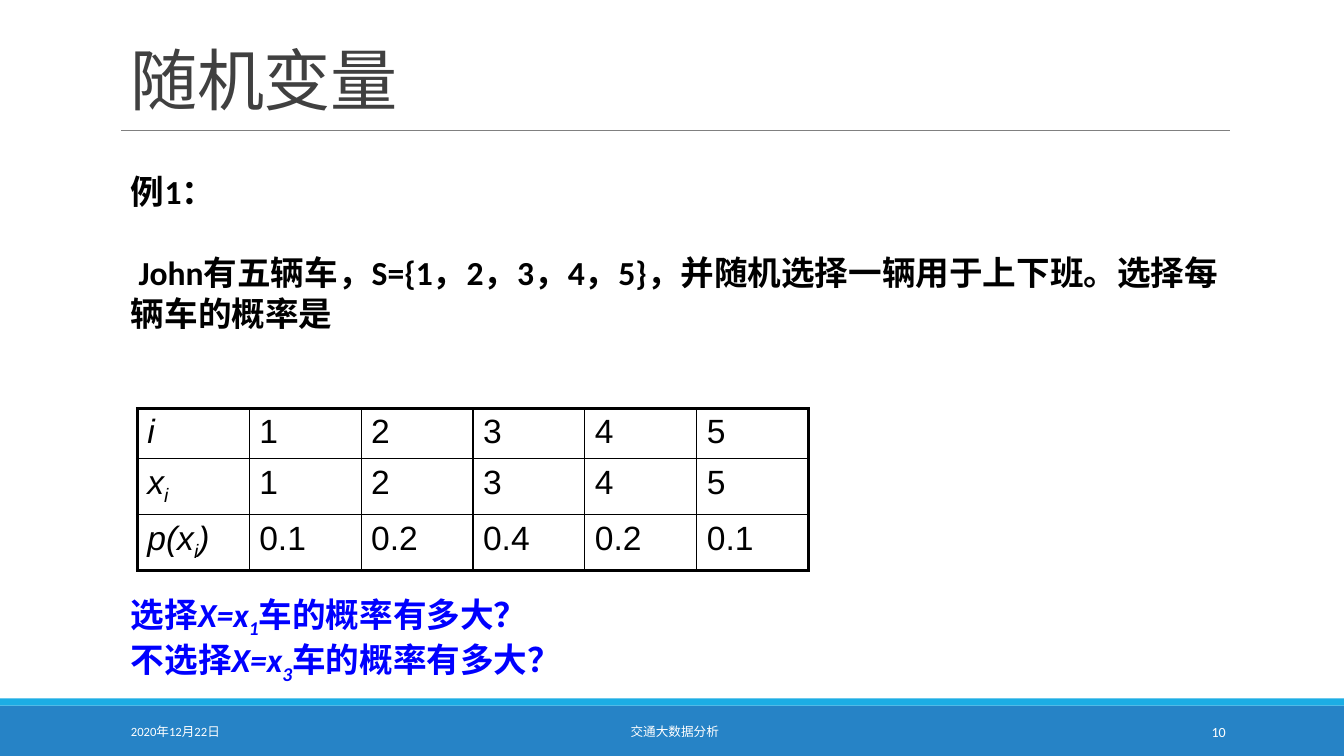
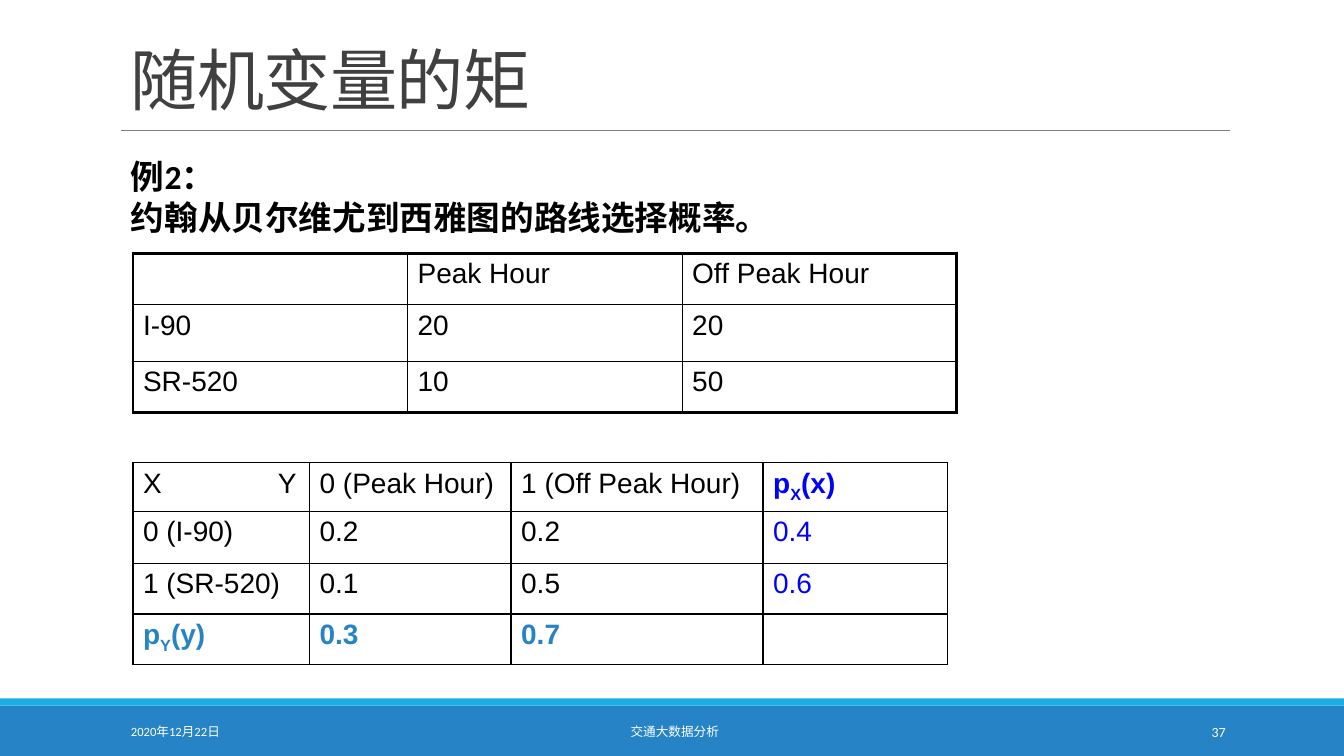
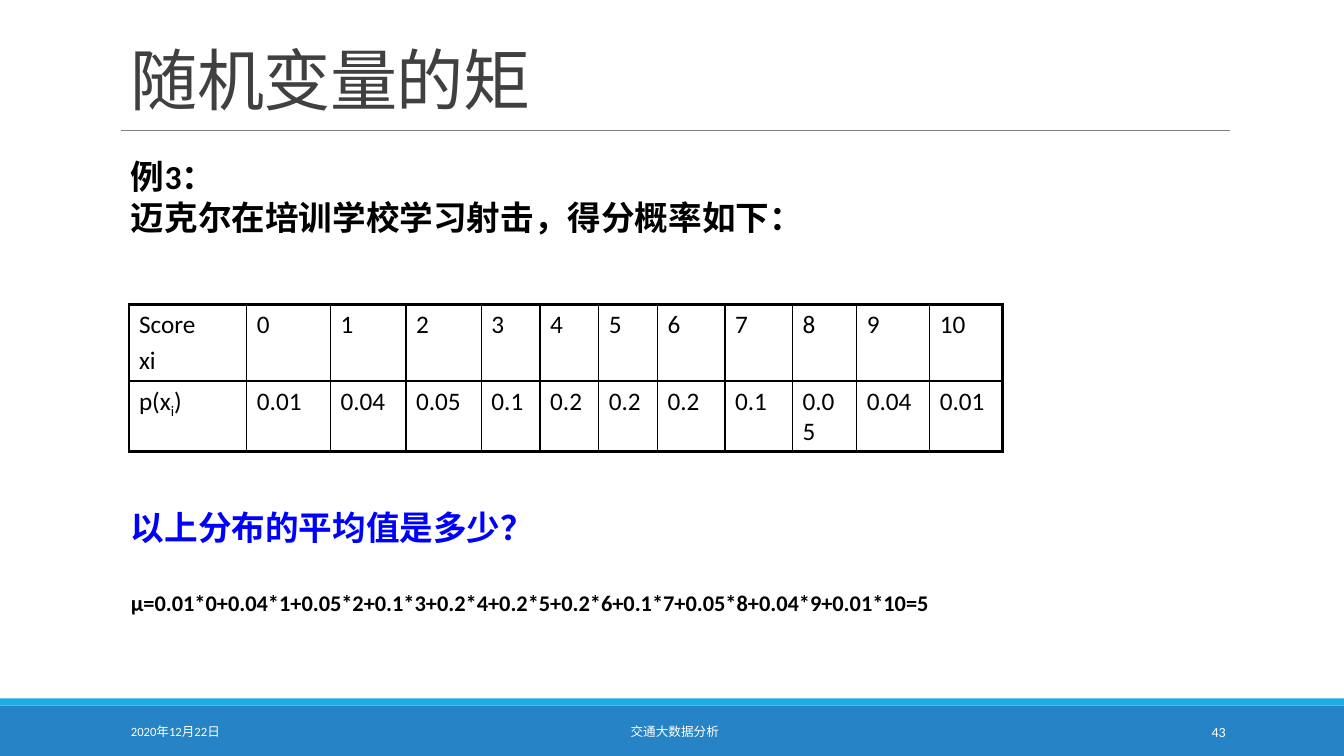
from lxml import etree
from pptx import Presentation
from pptx.dml.color import RGBColor
from pptx.enum.lang import MSO_LANGUAGE_ID
from pptx.enum.shapes import MSO_CONNECTOR, MSO_SHAPE
from pptx.enum.text import MSO_ANCHOR, PP_ALIGN
from pptx.oxml.ns import qn
from pptx.util import Cm, Pt

RECTANGLE = MSO_SHAPE.RECTANGLE
STRAIGHT = MSO_CONNECTOR.STRAIGHT
LEFT, CENTER, RIGHT = PP_ALIGN.LEFT, PP_ALIGN.CENTER, PP_ALIGN.RIGHT
TOP, MIDDLE, BOTTOM = MSO_ANCHOR.TOP, MSO_ANCHOR.MIDDLE, MSO_ANCHOR.BOTTOM
CHINESE = MSO_LANGUAGE_ID.SIMPLIFIED_CHINESE

COLORS = {
    "band": "2683C6",
    "stripe": "1CADE4",
    "rule": "808080",
    "title": "404040",
    "text": "000000",
    "question": "0000FF",
    "footer": "FFFFFF",
}
TITLE = {"size": Pt(48), "color": "title", "spc": "-50"}
FOOTER = {"size": Pt(9), "color": "footer"}
PAGE_NUMBER = {"size": Pt(10), "color": "footer"}
BODY = {"size": Pt(24), "bold": True}
QUESTION = {"size": Pt(24), "bold": True, "color": "question"}
FORMULA = {"size": Pt(16), "bold": True}
ITALIC = {"italic": True}
SUBSCRIPT = {"baseline": "-25000"}
ITALIC_SUBSCRIPT = ITALIC | SUBSCRIPT
BLUE = {"color": "question"}
BOLD_BLUE = {"bold": True, "color": "question"}
BOLD_BAND = {"bold": True, "color": "band"}

MARGIN = 3.05
BANDS = [(17.78, 1.27, "band"), (17.6, 0.18, "stripe")]
TAB_STOP = Cm(3.4)

SLIDES = [
    {
        "title": "随机变量",
        "number": "10",
        "texts": [
            (4.19, 28.09, BODY, 29, [
                "例1：",
                " John有五辆车，S={1，2，3，4，5}，并随机选择一辆用于上下班。选择每辆车的概率是",
            ]),
            (14.83, 27.76, QUESTION, 0, [
                ["选择", ("X=x", ITALIC), ("1", ITALIC_SUBSCRIPT), "车的概率有多大？"],
                ["不选择", ("X=x", ITALIC), ("3", ITALIC_SUBSCRIPT), "车的概率有多大？"],
            ]),
        ],
        "tables": [{
            "corner": (3.46, 10.29),
            "columns": [2.82] * 6,
            "rows": [1.26, 1.41, 1.41],
            "font": {"name": "Arial", "size": Pt(24)},
            "outer": 2.25,
            "cells": [
                [[("i", ITALIC)], "1", "2", "3", "4", "5"],
                [[("x", ITALIC), ("i", ITALIC_SUBSCRIPT)], "1", "2", "3", "4", "5"],
                [[("p(x", ITALIC), ("i", ITALIC_SUBSCRIPT), (")", ITALIC)],
                 "0.1", "0.2", "0.4", "0.2", "0.1"],
            ],
        }],
    },
    {
        "title": "随机变量的矩",
        "number": "37",
        "texts": [
            (3.81, 22.66, BODY, 0, ["例2：", "约翰从贝尔维尤到西雅图的路线选择概率。"]),
        ],
        "tables": [
            {
                "corner": (3.35, 6.38),
                "columns": [6.92] * 3,
                "rows": [1.3, 1.42, 1.3],
                "font": {"name": "Arial", "size": Pt(20)},
                "outer": 2.25,
                "cells": [
                    ["", "Peak Hour", "Off Peak Hour"],
                    ["I-90", "20", "20"],
                    ["SR-520", "10", "50"],
                ],
            },
            {
                "corner": (3.35, 11.66),
                "columns": [4.45, 5.08, 6.35, 4.65],
                "rows": [1.22, 1.32, 1.27, 1.27],
                "font": {"name": "Arial", "size": Pt(20)},
                "outer": 1,
                "cells": [
                    ["X\tY", "0 (Peak Hour)", "1 (Off Peak Hour)",
                     [("p", BOLD_BLUE), ("X", BOLD_BLUE | SUBSCRIPT), ("(x)", BOLD_BLUE)]],
                    ["0 (I-90)", "0.2", "0.2", [("0.4", BLUE)]],
                    ["1 (SR-520)", "0.1", "0.5", [("0.6", BLUE)]],
                    [[("p", BOLD_BAND), ("Y", BOLD_BAND | SUBSCRIPT), ("(y)", BOLD_BAND)],
                     [("0.3", BOLD_BAND)], [("0.7", BOLD_BAND)], ""],
                ],
            },
        ],
    },
    {
        "title": "随机变量的矩",
        "number": "43",
        "texts": [
            (3.81, 29.79, BODY, 0, ["例3：", "迈克尔在培训学校学习射击，得分概率如下："]),
            (12.65, 22.66, QUESTION, 0, ["以上分布的平均值是多少？"]),
            (14.73, 22.66, FORMULA, 0, [
                "µ=0.01*0+0.04*1+0.05*2+0.1*3+0.2*4+0.2*5+0.2*6+0.1*7+0.05*8+0.04*9+0.01*10=5",
            ]),
        ],
        "tables": [{
            "corner": (3.25, 7.67),
            "columns": [2.97, 2.11, 1.9, 1.9, 1.48, 1.48, 1.48, 1.7, 1.7, 1.62, 1.84, 1.84],
            "rows": [1.93, 1.78],
            "font": {"size": Pt(18)},
            "outer": 2.25,
            "cells": [
                ["Score\nxi"] + [str(score) for score in range(11)],
                [["p(x", ("i", SUBSCRIPT), ")"], "0.01", "0.04", "0.05", "0.1", "0.2",
                 "0.2", "0.2", "0.1", "0.05", "0.04", "0.01"],
            ],
        }],
    },
]


def write_text(frame, paragraphs, style, align=LEFT, gap=0, line_spacing=1.0):
    for index, runs in enumerate(paragraphs):
        paragraph = frame.add_paragraph() if index else frame.paragraphs[0]
        paragraph.alignment = align
        paragraph.line_spacing = line_spacing
        if index:
            paragraph.space_before = Pt(gap)
        if "\t" in runs:
            tabs = etree.SubElement(paragraph._p.get_or_add_pPr(), qn("a:tabLst"))
            etree.SubElement(tabs, qn("a:tab"), pos=str(TAB_STOP), algn="l")
        for item in [runs] if isinstance(runs, str) else runs:
            text, extra = (item, {}) if isinstance(item, str) else item
            run = paragraph.add_run()
            run.text = text
            values = {"name": "Calibri", "bold": False, "color": "text",
                      "language_id": CHINESE} | style | extra
            for key, value in values.items():
                if key == "color":
                    run.font.color.rgb = RGBColor.from_string(COLORS[value])
                elif key in ("baseline", "spc"):
                    run._r.get_or_add_rPr().set(key, value)
                else:
                    setattr(run.font, key, value)


def add_text(slide, box, paragraphs, style, anchor=TOP, **layout):
    frame = slide.shapes.add_textbox(*[Cm(length) for length in box]).text_frame
    frame.word_wrap = True
    frame.vertical_anchor = anchor
    write_text(frame, paragraphs, style, **layout)


presentation = Presentation()
presentation.slide_width = Cm(33.87)
presentation.slide_height = Cm(19.05)

for content in SLIDES:
    slide = presentation.slides.add_slide(presentation.slide_layouts[6])

    for top, height, color in BANDS:
        band = slide.shapes.add_shape(
            RECTANGLE, 0, Cm(top), presentation.slide_width, Cm(height))
        band.shadow.inherit = False
        band.fill.solid()
        band.fill.fore_color.rgb = RGBColor.from_string(COLORS[color])
        band.line.fill.background()

    rule = slide.shapes.add_connector(STRAIGHT, Cm(MARGIN), Cm(3.28), Cm(30.99), Cm(3.28))
    rule.line.color.rgb = RGBColor.from_string(COLORS["rule"])
    rule.line.width = Pt(0.5)
    etree.SubElement(rule._element.spPr, qn("a:effectLst"))

    add_text(slide, (MARGIN, 0.36, 27.94, 2.77), [content["title"]], TITLE,
             BOTTOM, line_spacing=0.85)
    for left, width, text, style, align in [
        (MARGIN, 6.86, "2020年12月22日", FOOTER, LEFT),
        (10.31, 13.39, "交通大数据分析", FOOTER, CENTER),
        (27.51, 3.63, content["number"], PAGE_NUMBER, RIGHT),
    ]:
        add_text(slide, (left, 17.93, width, 1.02), [text], style, MIDDLE, align=align)

    for top, width, style, gap, paragraphs in content["texts"]:
        add_text(slide, (MARGIN, top, width, 1.2 * len(paragraphs)), paragraphs, style, gap=gap)

    for data in content["tables"]:
        columns, rows, font = data["columns"], data["rows"], data["font"]
        left, top = data["corner"]
        table = slide.shapes.add_table(
            len(rows), len(columns), Cm(left), Cm(top), Cm(sum(columns)), Cm(sum(rows))).table
        table.first_row = False
        table.horz_banding = False
        for column, width in zip(table.columns, columns):
            column.width = Cm(width)
        for row, height in zip(table.rows, rows):
            row.height = Cm(height)
        for row_index, values in enumerate(data["cells"]):
            for column_index, value in enumerate(values):
                cell = table.cell(row_index, column_index)
                outer_edges = {
                    "a:lnL": column_index == 0,
                    "a:lnR": column_index == len(columns) - 1,
                    "a:lnT": row_index == 0,
                    "a:lnB": row_index == len(rows) - 1,
                }
                for edge, is_outer in outer_edges.items():
                    weight = Pt(data["outer"] if is_outer else 1)
                    border = etree.SubElement(
                        cell._tc.get_or_add_tcPr(), qn(edge), w=str(weight))
                    fill = etree.SubElement(border, qn("a:solidFill"))
                    etree.SubElement(fill, qn("a:srgbClr"), val=COLORS["text"])
                cell.fill.background()
                if value:
                    paragraphs = value.split("\n") if isinstance(value, str) else [value]
                    write_text(cell.text_frame, paragraphs, font, gap=0.2 * font["size"].pt)

presentation.save("out.pptx")
